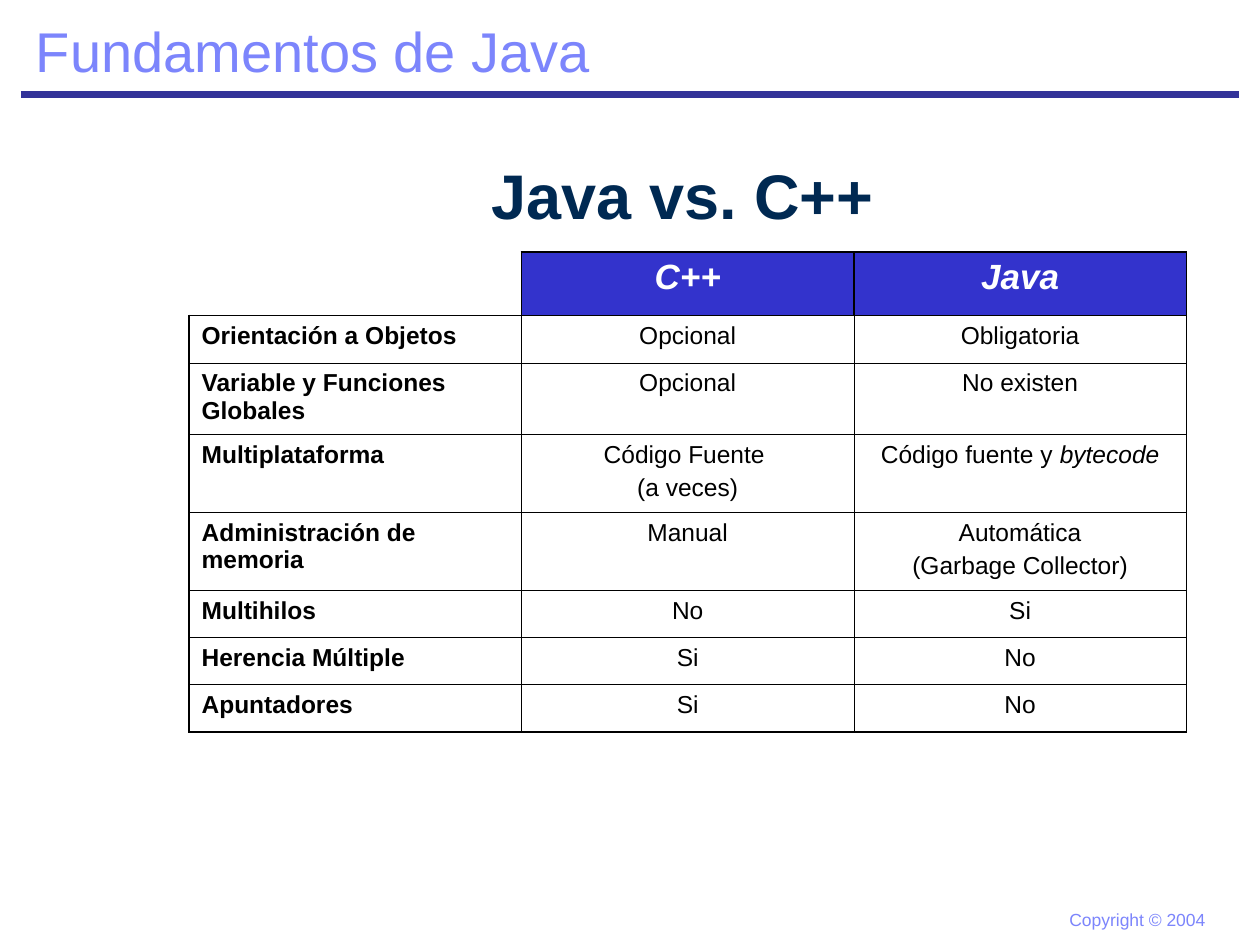
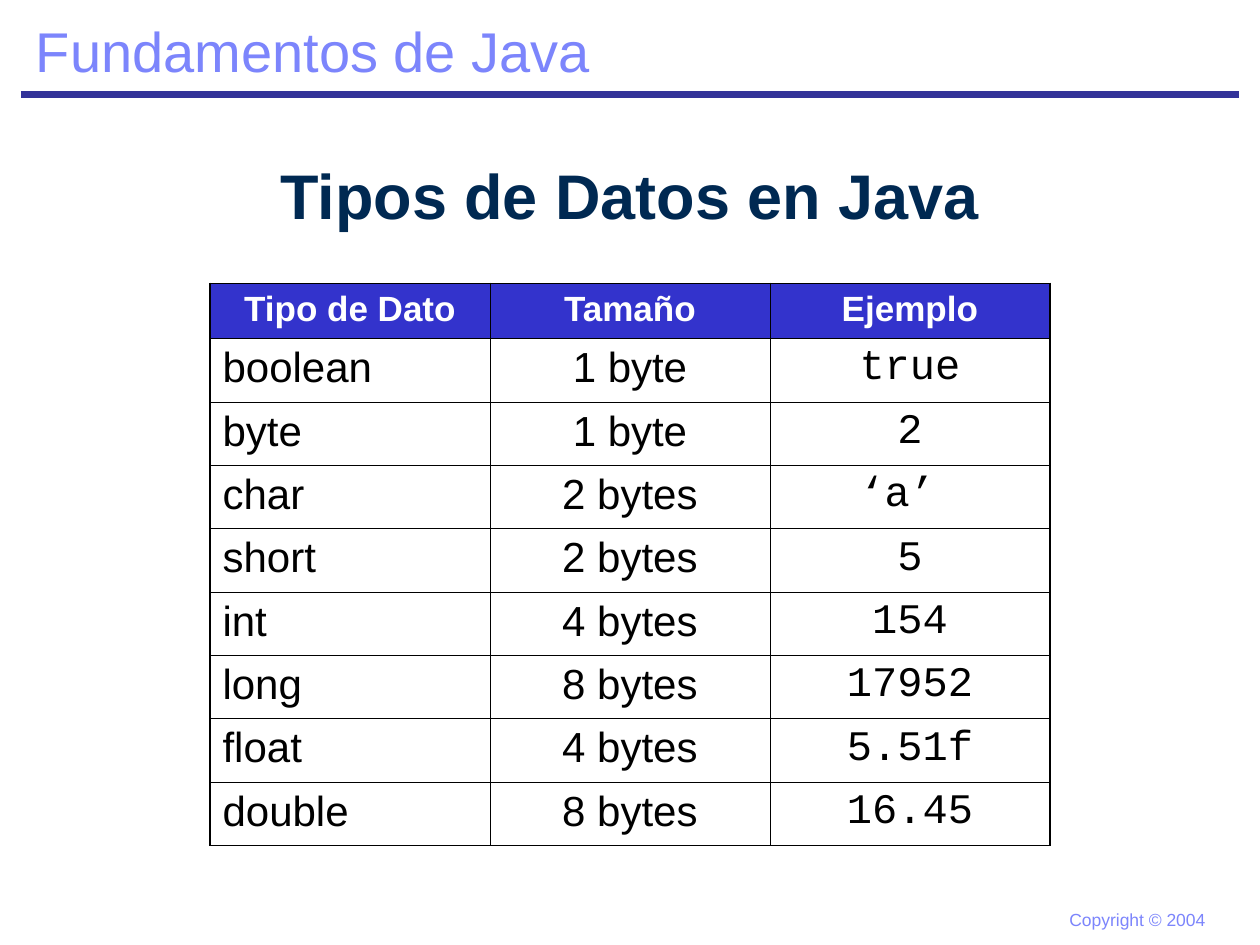
from lxml.etree import SubElement
from pptx import Presentation
from pptx.dml.color import RGBColor
from pptx.enum.shapes import MSO_CONNECTOR
from pptx.enum.text import MSO_ANCHOR, MSO_AUTO_SIZE, PP_ALIGN
from pptx.oxml import parse_xml
from pptx.oxml.ns import nsdecls, qn
from pptx.util import Pt

LILAC, NAVY, RULE_BLUE, HEADER_BLUE = "7C85FC", "002952", "333399", "3333CC"
BLACK, WHITE = "000000", "FFFFFF"
THICK, THIN = 1.08, 0.45
NO_STYLE = "{2D5ABB26-0587-4C30-8999-92F81FD0307C}"


def rgb(color):
    return RGBColor.from_string(color)


def style(para, size, color, bold=False, italic=False, name="Arial"):
    font = para.font
    font.name, font.size, font.bold, font.italic = name, Pt(size), bold, italic
    font.color.rgb = rgb(color)


frame_texts = [
    ("Copyright © 2004", 10, (604, 516, 92, 19.4)),
    ("Fundamentos de Java", 32, (13.5, 5.9, 332, 46)),
]

pages = [
    {
        "title": "Java vs. C++",
        "title_left": 84, "title_width": 612,
        "table_left": 108, "table_top": 144, "column_width": 190,
        "row_heights": [36.3, 27.2, 40.6, 44.6, 44.6, 26.8, 27, 27.2],
        "thick_columns": {0, 1, 3}, "thick_rows": {0, 1, 8},
        "header_italic": True, "header_border": THICK,
        "body_size": 14, "label_bold": True, "last_font": "Arial",
        "rows": [
            ("", "C++", "Java"),
            ("Orientación a Objetos", "Opcional", "Obligatoria"),
            ("Variable y Funciones Globales", "Opcional", "No existen"),
            ("Multiplataforma", "Código Fuente \n(a veces)", "Código fuente y *bytecode"),
            ("Administración de memoria", "Manual", "Automática\n(Garbage Collector)"),
            ("Multihilos", "No", "Si"),
            ("Herencia Múltiple", "Si", "No"),
            ("Apuntadores", "Si", "No"),
        ],
    },
    {
        "title": "Tipos de Datos en Java",
        "title_left": 0, "title_width": 720,
        "table_left": 120, "table_top": 162, "column_width": 160,
        "row_heights": [31.5] + [36.2] * 8,
        "thick_columns": {0, 3}, "thick_rows": {0, 9},
        "header_italic": False, "header_border": THIN,
        "body_size": 24, "label_bold": False, "last_font": "Courier New",
        "rows": [
            ("Tipo de Dato", "Tamaño", "Ejemplo"),
            ("boolean", "1 byte", "true"),
            ("byte", "1 byte", "2"),
            ("char", "2 bytes", "‘a’ "),
            ("short", "2 bytes", "5"),
            ("int", "4 bytes", "154"),
            ("long", "8 bytes", "17952"),
            ("float", "4 bytes", "5.51f"),
            ("double", "8 bytes", "16.45"),
        ],
    },
]

deck = Presentation()
deck.slide_width, deck.slide_height = Pt(720), Pt(540)

for content in pages:
    page = deck.slides.add_slide(deck.slide_layouts[5])

    rule = page.shapes.add_connector(MSO_CONNECTOR.STRAIGHT, Pt(12), Pt(54), Pt(708), Pt(54))
    rule.line.color.rgb = rgb(RULE_BLUE)
    rule.line.width = Pt(4.5)
    SubElement(rule._element.spPr, qn("a:effectLst"))

    for text, size, bounds in frame_texts:
        box = page.shapes.add_textbox(*map(Pt, bounds))
        box.text_frame.word_wrap = False
        box.text_frame.auto_size = MSO_AUTO_SIZE.SHAPE_TO_FIT_TEXT
        box.text_frame.text = text
        style(box.text_frame.paragraphs[0], size, LILAC)

    title = page.shapes.title
    title.left, title.top = Pt(content["title_left"]), Pt(84)
    title.width, title.height = Pt(content["title_width"]), Pt(54)
    title.text_frame.text = content["title"]
    title.text_frame.auto_size = MSO_AUTO_SIZE.NONE
    title.text_frame.vertical_anchor = MSO_ANCHOR.MIDDLE
    title.text_frame.paragraphs[0].alignment = PP_ALIGN.CENTER
    style(title.text_frame.paragraphs[0], 36, NAVY, bold=True)

    rows, heights = content["rows"], content["row_heights"]
    table = page.shapes.add_table(
        len(rows), 3, Pt(content["table_left"]), Pt(content["table_top"]),
        Pt(3 * content["column_width"]), Pt(sum(heights))).table
    table.first_row = table.horz_banding = False
    table._tbl.tblPr.find(qn("a:tableStyleId")).text = NO_STYLE
    for column in table.columns:
        column.width = Pt(content["column_width"])

    for row_index, (row, height) in enumerate(zip(rows, heights)):
        table.rows[row_index].height = Pt(height)
        is_header = row_index == 0
        for column_index, text in enumerate(row):
            cell = table.cell(row_index, column_index)
            is_label = column_index == 0
            is_blank = not text

            if is_header and not is_blank:
                cell.fill.solid()
                cell.fill.fore_color.rgb = rgb(HEADER_BLUE)
            else:
                cell.fill.background()

            inner = content["header_border"] if is_header else THIN
            sides = [
                ("lnL", column_index in content["thick_columns"]),
                ("lnR", column_index + 1 in content["thick_columns"]),
                ("lnT", row_index in content["thick_rows"]),
                ("lnB", row_index + 1 in content["thick_rows"]),
            ]
            for position, (side, thick) in enumerate(sides):
                width = Pt(THICK if thick else inner)
                if is_blank and side in ("lnL", "lnT"):
                    paint = "<a:noFill/>"
                else:
                    paint = f'<a:solidFill><a:srgbClr val="{BLACK}"/></a:solidFill>'
                border = parse_xml(f'<a:{side} {nsdecls("a")} w="{width}">{paint}</a:{side}>')
                cell._tc.get_or_add_tcPr().insert(position, border)

            for line_index, line in enumerate(text.split("\n")):
                frame = cell.text_frame
                para = frame.add_paragraph() if line_index else frame.paragraphs[0]
                if line_index:
                    para.space_before = Pt(3.5)
                if is_header or not is_label:
                    para.alignment = PP_ALIGN.CENTER
                if is_header:
                    style(para, 20, WHITE, True, content["header_italic"])
                else:
                    name = content["last_font"] if column_index == 2 else "Arial"
                    style(para, content["body_size"], BLACK,
                          is_label and content["label_bold"], name=name)
                for span_index, span_text in enumerate(line.split("*")):
                    span = para.add_run()
                    span.text = span_text
                    if span_index:
                        span.font.italic = True

deck.save("out.pptx")
